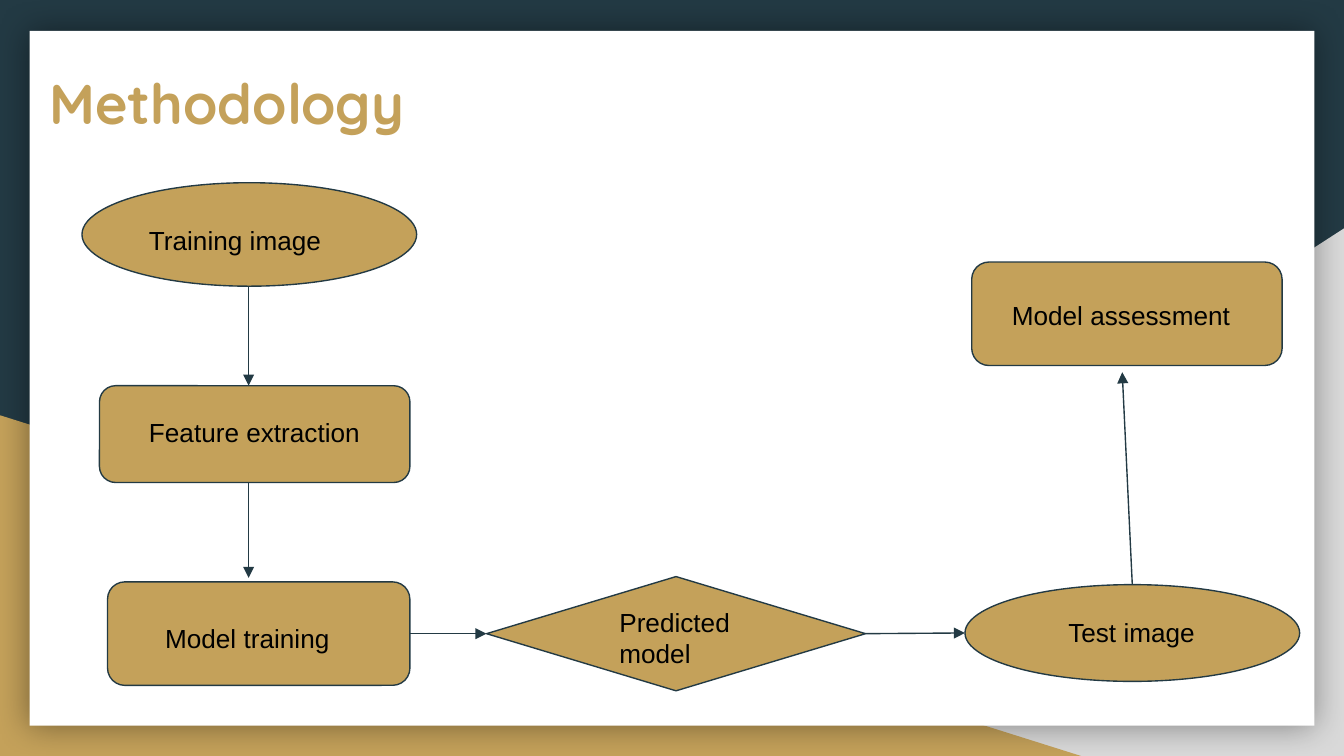
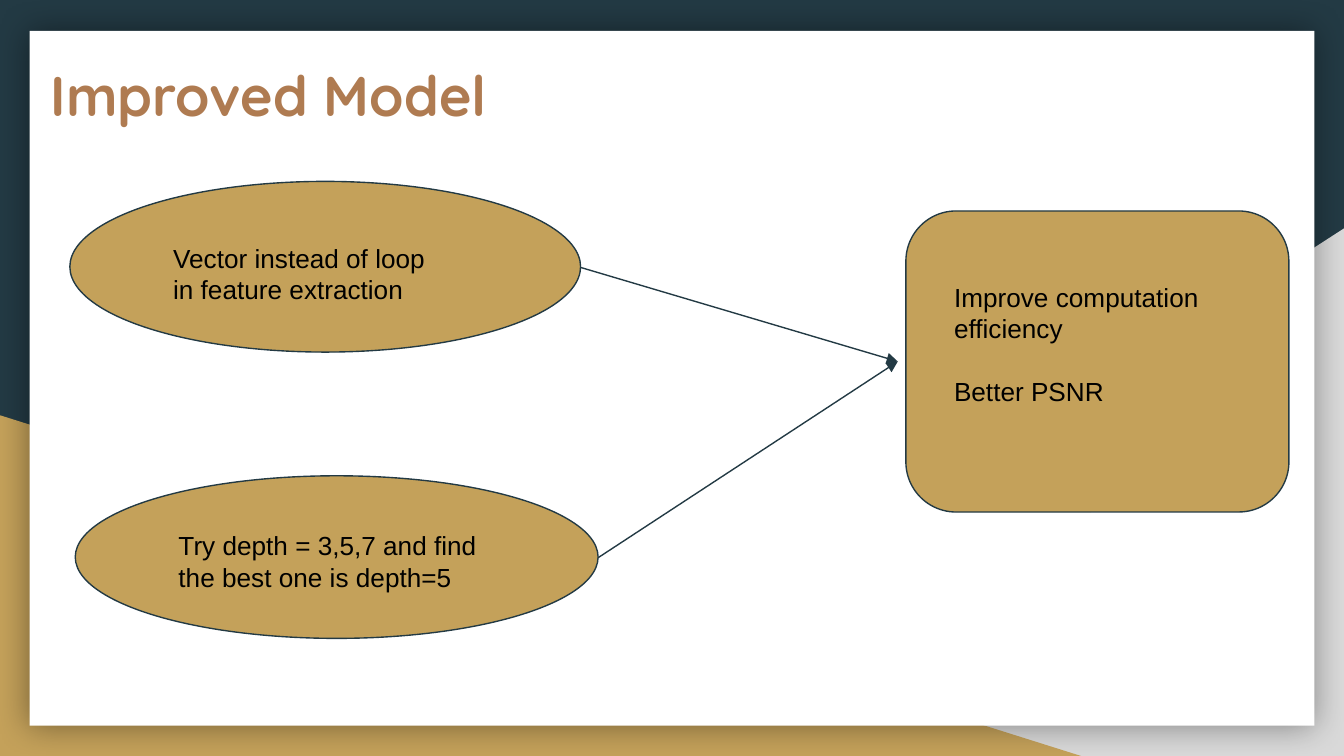
from dataclasses import dataclass
from typing import NamedTuple, Optional

from lxml.etree import SubElement
from pptx import Presentation
from pptx.dml.color import RGBColor
from pptx.enum.shapes import MSO_CONNECTOR, MSO_SHAPE
from pptx.oxml.ns import qn
from pptx.shapes.autoshape import Shape
from pptx.slide import Slide
from pptx.util import Inches, Pt

COLORS = {
    "navy": "233A44",
    "gold": "C4A15A",
    "copper": "AF7B51",
    "gray": "D9D9D9",
    "white": "FFFFFF",
    "black": "000000",
}
TITLE_FONT = "Quicksand"
BODY_FONT = "Arial"
LINE_WIDTH = Pt(0.75)
PARAGRAPH_GAP = Pt(17)
TOP, LEFT, BOTTOM, RIGHT = range(4)


class Box(NamedTuple):
    left: float
    top: float
    width: float
    height: float


class Point(NamedTuple):
    x: float
    y: float


class Joint(NamedTuple):
    step: str
    side: int


@dataclass(frozen=True)
class Heading:
    text: str
    box: Box
    color: str


@dataclass(frozen=True)
class Step:
    name: str
    outline: MSO_SHAPE
    box: Box
    label_box: Box
    lines: tuple[str, ...]
    gap: Pt = Pt(0)


@dataclass(frozen=True)
class Arrow:
    start: Point
    end: Point
    begin_joint: Optional[Joint] = None
    end_joint: Optional[Joint] = None


@dataclass(frozen=True)
class Diagram:
    heading: Heading
    steps: tuple[Step, ...]
    arrows: tuple[Arrow, ...]


METHODOLOGY = Diagram(
    Heading("Methodology", Box(0.27, 0.41, 7.03, 0.77), "gold"),
    (
        Step("training image", MSO_SHAPE.OVAL, Box(0.61, 1.36, 2.49, 0.77),
             Box(1.01, 1.57, 1.77, 0.36), ("Training image",)),
        Step("extraction", MSO_SHAPE.ROUNDED_RECTANGLE, Box(0.74, 2.87, 2.31, 0.72),
             Box(1.01, 3, 1.99, 0.46), ("Feature extraction",)),
        Step("training", MSO_SHAPE.ROUNDED_RECTANGLE, Box(0.8, 4.33, 2.25, 0.77),
             Box(1.13, 4.53, 1.77, 0.28), ("Model training",)),
        Step("prediction", MSO_SHAPE.DIAMOND, Box(3.62, 4.29, 2.82, 0.85),
             Box(4.51, 4.41, 1.32, 0.2), ("Predicted model",)),
        Step("test image", MSO_SHAPE.OVAL, Box(7.18, 4.35, 2.49, 0.72),
             Box(7.85, 4.49, 1.55, 0.36), ("Test image",)),
        Step("assessment", MSO_SHAPE.ROUNDED_RECTANGLE, Box(7.23, 1.95, 2.31, 0.77),
             Box(7.43, 2.13, 1.99, 0.42), ("Model assessment",)),
    ),
    (
        Arrow(Point(1.85, 2.13), Point(1.85, 2.87)),
        Arrow(Point(1.85, 3.59), Point(1.85, 4.3)),
        Arrow(Point(3.05, 4.71), Point(3.62, 4.71),
              Joint("training", RIGHT), Joint("prediction", LEFT)),
        Arrow(Point(6.44, 4.71), Point(7.18, 4.71), Joint("prediction", RIGHT)),
        Arrow(Point(8.42, 4.35), Point(8.35, 2.77), Joint("test image", TOP)),
    ),
)

IMPROVED_MODEL = Diagram(
    Heading("Improved Model", Box(0.28, 0.35, 7.03, 0.77), "copper"),
    (
        Step("vector", MSO_SHAPE.OVAL, Box(0.52, 1.35, 3.8, 1.27),
             Box(1.19, 1.7, 2.73, 0.71),
             ("Vector instead of loop", "in feature extraction")),
        Step("depth", MSO_SHAPE.OVAL, Box(0.56, 3.54, 3.89, 1.21),
             Box(1.23, 3.84, 2.7, 0.63),
             ("Try depth = 3,5,7 and find the best one is depth=5",)),
        Step("benefits", MSO_SHAPE.ROUNDED_RECTANGLE, Box(6.74, 1.57, 2.85, 2.24),
             Box(7, 1.99, 2.51, 1.21),
             ("Improve computation efficiency", "Better PSNR"), PARAGRAPH_GAP),
    ),
    (
        Arrow(Point(4.32, 1.99), Point(6.68, 2.69)),
        Arrow(Point(4.45, 4.15), Point(6.68, 2.69)),
    ),
)


def rgb(color: str) -> RGBColor:
    return RGBColor.from_string(COLORS[color])


def add_filled(slide: Slide, outline: MSO_SHAPE, box: Box, fill: str,
               line: Optional[str] = None) -> Shape:
    shape = slide.shapes.add_shape(outline, *map(Inches, box))
    shape.shadow.inherit = False
    shape.fill.solid()
    shape.fill.fore_color.rgb = rgb(fill)
    if line:
        shape.line.color.rgb = rgb(line)
        shape.line.width = LINE_WIDTH
    else:
        shape.line.fill.background()
    return shape


def add_text(slide: Slide, box: Box, lines: tuple[str, ...], font: str, size: int,
             color: str, bold: bool = False, gap: Pt = Pt(0)) -> None:
    frame = slide.shapes.add_textbox(*map(Inches, box)).text_frame
    frame.word_wrap = True
    frame.margin_left = frame.margin_right = Inches(0.1)
    frame.margin_top = frame.margin_bottom = Inches(0.1)
    for index, line in enumerate(lines):
        paragraph = frame.add_paragraph() if index else frame.paragraphs[0]
        paragraph.text = line
        paragraph.space_before = gap if index else Pt(0)
        paragraph.font.name = font
        paragraph.font.size = Pt(size)
        paragraph.font.bold = bold
        paragraph.font.color.rgb = rgb(color)


def add_glow(panel: Shape) -> None:
    effects = panel.element.spPr.find(qn("a:effectLst"))
    shadow = SubElement(effects, qn("a:outerShdw"), blurRad=str(Pt(18)), dist="0",
                        dir="0", algn="ctr", rotWithShape="0")
    tint = SubElement(shadow, qn("a:srgbClr"), val=COLORS["black"])
    SubElement(tint, qn("a:alpha"), val="40000")


def add_backdrop(slide: Slide) -> None:
    slide.background.fill.solid()
    slide.background.fill.fore_color.rgb = rgb("navy")
    gray_corner = add_filled(slide, MSO_SHAPE.RIGHT_TRIANGLE,
                             Box(3.92, 1.7, 6.08, 3.93), "gray")
    gray_corner.element.spPr.find(qn("a:xfrm")).set("flipH", "1")
    add_filled(slide, MSO_SHAPE.RIGHT_TRIANGLE, Box(0, 3.09, 8.06, 2.54), "gold")
    add_glow(add_filled(slide, MSO_SHAPE.RECTANGLE, Box(0.22, 0.23, 9.56, 5.17), "white"))


def add_step(slide: Slide, step: Step) -> Shape:
    shape = add_filled(slide, step.outline, step.box, "gold", "navy")
    add_text(slide, step.label_box, step.lines, BODY_FONT, 14, "black", gap=step.gap)
    return shape


def add_arrow(slide: Slide, arrow: Arrow, outlines: dict[str, Shape]) -> None:
    connector = slide.shapes.add_connector(
        MSO_CONNECTOR.STRAIGHT, *map(Inches, arrow.start + arrow.end))
    if arrow.begin_joint:
        connector.begin_connect(outlines[arrow.begin_joint.step], arrow.begin_joint.side)
    if arrow.end_joint:
        connector.end_connect(outlines[arrow.end_joint.step], arrow.end_joint.side)
    connector.line.color.rgb = rgb("navy")
    connector.line.width = LINE_WIDTH
    line_properties = connector.element.spPr.find(qn("a:ln"))
    SubElement(line_properties, qn("a:tailEnd"), type="triangle")
    SubElement(connector.element.spPr, qn("a:effectLst"))


def add_diagram(slide: Slide, diagram: Diagram) -> None:
    add_backdrop(slide)
    heading = diagram.heading
    add_text(slide, heading.box, (heading.text,), TITLE_FONT, 30, heading.color, bold=True)
    outlines = {step.name: add_step(slide, step) for step in diagram.steps}
    for arrow in diagram.arrows:
        add_arrow(slide, arrow, outlines)


def main() -> None:
    deck = Presentation()
    deck.slide_width = Inches(10)
    deck.slide_height = Inches(10 * 9 / 16)
    blank = deck.slide_layouts[6]
    for diagram in (METHODOLOGY, IMPROVED_MODEL):
        add_diagram(deck.slides.add_slide(blank), diagram)
    deck.save("out.pptx")


if __name__ == "__main__":
    main()
